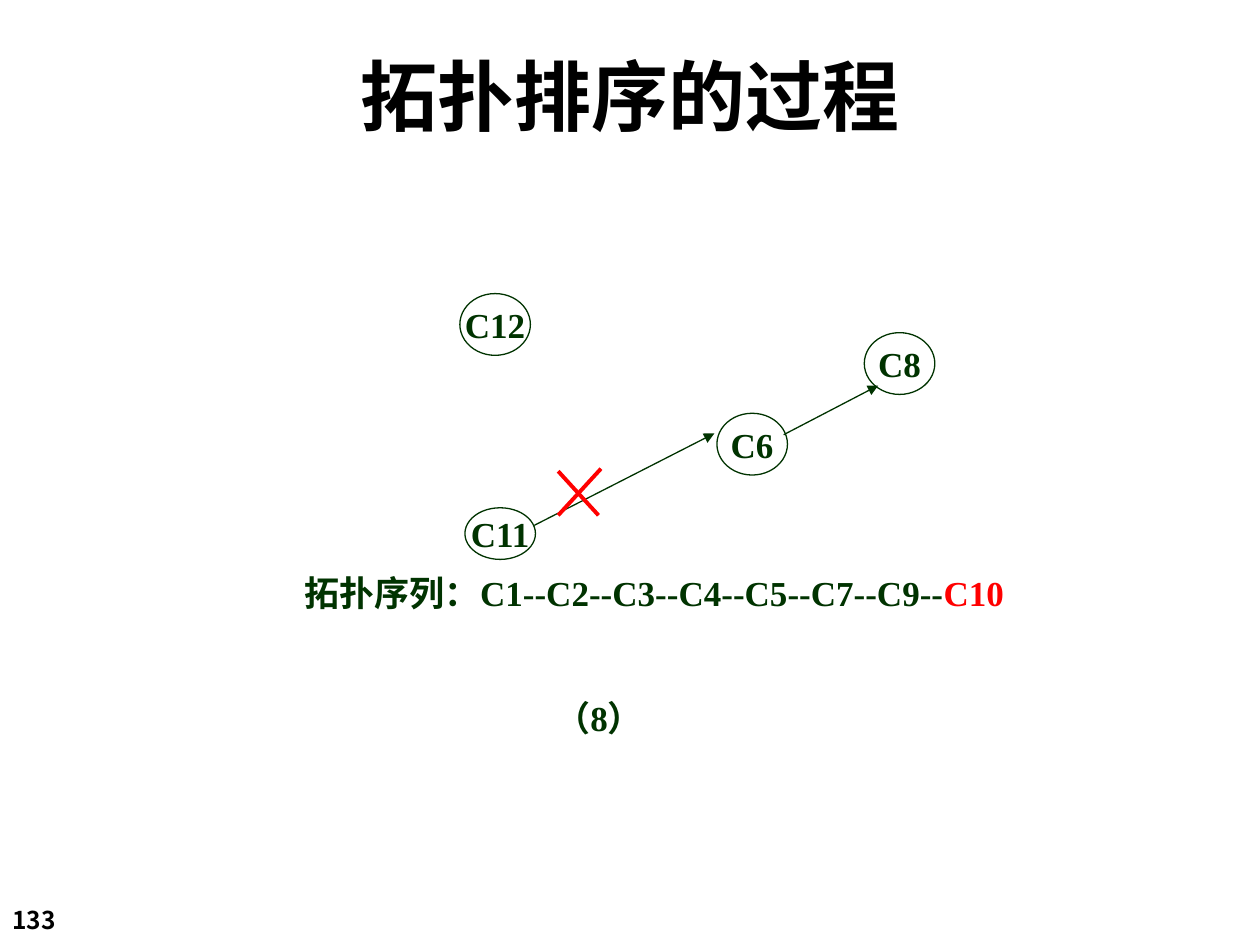
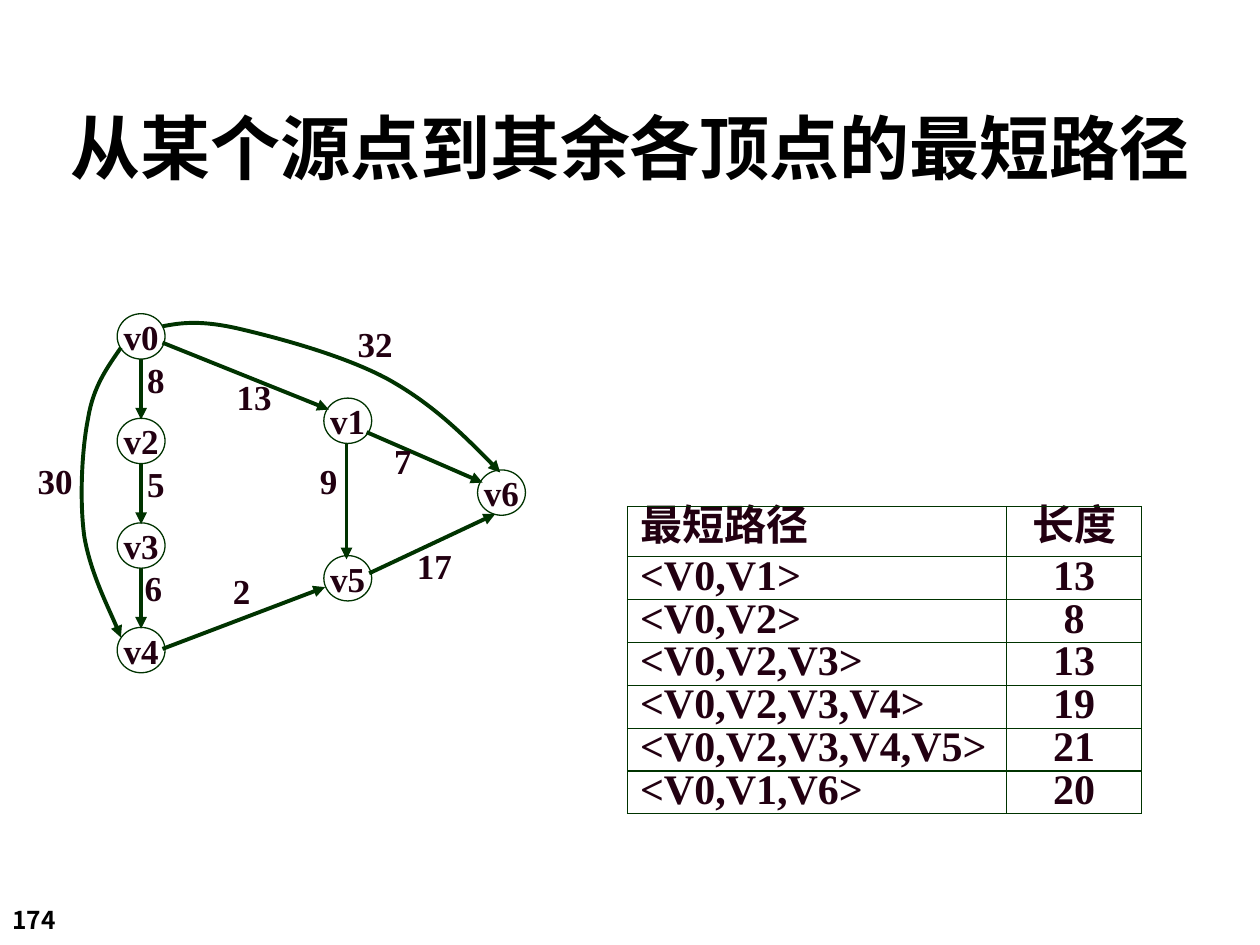
"""Build two graph algorithm slides: topological sorting and shortest paths."""
from dataclasses import dataclass

import lxml.etree
import pptx
import pptx.dml.color
import pptx.enum.shapes
import pptx.enum.text
import pptx.oxml.ns
import pptx.util

Inches = pptx.util.Inches
Pt = pptx.util.Pt
Align = pptx.enum.text.PP_ALIGN
Anchor = pptx.enum.text.MSO_ANCHOR
qn = pptx.oxml.ns.qn


@dataclass(frozen=True)
class Theme:
    heading_font: str = "Noto Sans CJK SC"
    body_font: str = "Times New Roman"
    black: str = "000000"
    green: str = "003300"
    plum: str = "220011"
    red: str = "FF0000"
    page_size: int = 14
    body_size: int = 20
    table_size: int = 24
    thin: float = 0.75
    thick: float = 2.25


class SlideBuilder:
    def __init__(self, presentation, theme):
        self.presentation = presentation
        self.theme = theme
        self.slide = None

    def start_slide(self, page_number):
        self.slide = self.presentation.slides.add_slide(self.presentation.slide_layouts[6])
        self.text((0, 7.13, 0.83, 0.34), str(page_number), self.theme.black,
                  size=self.theme.page_size, font=self.theme.heading_font)

    def format_run(self, run, color, size, font):
        run.font.name = font
        run.font.size = Pt(size)
        run.font.bold = True
        run.font.color.rgb = pptx.dml.color.RGBColor.from_string(color)
        latin = run._r.get_or_add_rPr().find(qn("a:latin"))
        east_asian = lxml.etree.Element(qn("a:ea"), typeface=self.theme.heading_font)
        latin.addnext(east_asian)

    def fill_frame(self, text_frame, text, color, size=None, font=None, align=Align.LEFT):
        text_frame.text = text
        paragraph = text_frame.paragraphs[0]
        paragraph.alignment = align
        self.format_run(paragraph.runs[0], color, size or self.theme.body_size,
                        font or self.theme.body_font)
        return paragraph

    def text(self, box, text, color, **style):
        shape = self.slide.shapes.add_textbox(*map(Inches, box))
        shape.text_frame.word_wrap = False
        self.fill_frame(shape.text_frame, text, color, **style)
        return shape.text_frame

    def title(self, box, text, size):
        text_frame = self.text(box, text, self.theme.black, size=size,
                               font=self.theme.heading_font, align=Align.CENTER)
        text_frame.word_wrap = True
        return text_frame

    def style_line(self, line, color, width):
        line.color.rgb = pptx.dml.color.RGBColor.from_string(color)
        line.width = Pt(width)

    def add_arrowhead(self, line):
        lxml.etree.SubElement(line._get_or_add_ln(), qn("a:tailEnd"), type="triangle")

    def node(self, box, label, color):
        shape = self.slide.shapes.add_shape(
            pptx.enum.shapes.MSO_SHAPE.OVAL, *map(Inches, box))
        shape.shadow.inherit = False
        shape.fill.background()
        self.style_line(shape.line, self.theme.green, self.theme.thin)
        shape.text_frame.word_wrap = False
        shape.text_frame.vertical_anchor = Anchor.MIDDLE
        self.fill_frame(shape.text_frame, label, color, align=Align.CENTER)

    def line(self, start, end, color, width, arrow=False):
        connector = self.slide.shapes.add_connector(
            pptx.enum.shapes.MSO_CONNECTOR.STRAIGHT, *map(Inches, (*start, *end)))
        self.style_line(connector.line, color, width)
        if arrow:
            self.add_arrowhead(connector.line)
        lxml.etree.SubElement(connector._element.spPr, qn("a:effectLst"))

    def edge(self, start, end, width):
        self.line(start, end, self.theme.green, width, arrow=True)

    def curved_edge(self, points):
        points = [(Inches(x), Inches(y)) for x, y in points]
        builder = self.slide.shapes.build_freeform(*points[0], scale=1.0)
        builder.add_line_segments(points[1:], close=False)
        shape = builder.convert_to_shape()
        segments = list(shape._element.iter(qn("a:lnTo")))
        for first in range(0, len(segments), 3):
            bezier = lxml.etree.Element(qn("a:cubicBezTo"))
            segments[first].addprevious(bezier)
            for segment in segments[first:first + 3]:
                bezier.append(segment[0])
                segment.getparent().remove(segment)
        shape.shadow.inherit = False
        shape.fill.background()
        self.style_line(shape.line, self.theme.green, self.theme.thick)
        self.add_arrowhead(shape.line)

    def border_cell(self, cell):
        properties = cell._tc.get_or_add_tcPr()
        for position, side in enumerate(("lnL", "lnR", "lnT", "lnB")):
            border = lxml.etree.Element(qn(f"a:{side}"), w=str(Pt(self.theme.thin)))
            fill = lxml.etree.SubElement(border, qn("a:solidFill"))
            lxml.etree.SubElement(fill, qn("a:srgbClr"), val=self.theme.green)
            properties.insert(position, border)

    def table(self, left, top, widths, heights, rows):
        table = self.slide.shapes.add_table(
            len(rows), len(widths), Inches(left), Inches(top),
            Inches(sum(widths)), Inches(sum(heights))).table
        table.first_row = table.horz_banding = False
        for column, width in zip(table.columns, widths):
            column.width = Inches(width)
        for row, height, texts in zip(table.rows, heights, rows):
            row.height = Inches(height)
            for cell, text, align in zip(row.cells, texts, (Align.LEFT, Align.CENTER)):
                cell.margin_top = cell.margin_bottom = 0
                cell.vertical_anchor = Anchor.MIDDLE
                cell.fill.background()
                self.border_cell(cell)
                paragraph = self.fill_frame(cell.text_frame, text, self.theme.plum,
                                            size=self.theme.table_size, align=align)
                paragraph.line_spacing = Pt(self.theme.table_size)


def build_topological_sort(builder):
    theme = builder.theme
    builder.start_slide(133)
    for label, left, top, height in (("C6", 5.69, 3.28, 0.49), ("C8", 6.86, 2.64, 0.49),
                                     ("C11", 3.69, 4.03, 0.41), ("C12", 3.65, 2.33, 0.49)):
        builder.node((left, top, 0.56, height), label, theme.green)
    builder.edge((4.24, 4.17), (5.67, 3.44), theme.thin)
    builder.edge((6.22, 3.45), (6.97, 3.06), theme.thin)

    sequence = builder.text((2.32, 4.49, 5.83, 0.44),
                            "拓扑序列：C1--C2--C3--C4--C5--C7--C9--", theme.green)
    sequence.word_wrap = True
    newest = sequence.paragraphs[0].add_run()
    newest.text = "C10"
    builder.format_run(newest, theme.red, theme.body_size, theme.body_font)

    builder.text((4.31, 5.48, 1.03, 0.44), "（8）", theme.green)
    builder.line((4.43, 3.74), (4.75, 4.09), theme.red, theme.thick)
    builder.line((4.77, 3.72), (4.43, 4.09), theme.red, theme.thick)
    title = builder.title((0.42, 0.42, 9.17, 1), "拓扑排序的过程", 44)
    title.paragraphs[0].line_spacing = 0.9


def build_shortest_paths(builder):
    theme = builder.theme
    builder.start_slide(174)
    column_left, column_top, column_step = 0.93, 2.49, 0.83
    vertices = {"v5": (2.57, 4.41), "v1": (2.57, 3.16), "v6": (3.79, 3.73)}
    for index, label in enumerate(("v0", "v2", "v3", "v4")):
        vertices[label] = (column_left, column_top + index * column_step)
    for label, corner in vertices.items():
        builder.node((*corner, 0.38, 0.36), label, theme.plum)

    for index in range(3):
        start = column_top + 0.36 + index * column_step
        builder.edge((1.12, start), (1.12, start + 0.48), theme.thick)
    for start, end in (((1.29, 2.72), (2.61, 3.25)), ((2.91, 3.43), (3.83, 3.83)),
                       ((1.29, 5.15), (2.58, 4.66)), ((2.93, 4.55), (3.93, 4.08)),
                       ((2.75, 3.52), (2.75, 4.44))):
        builder.edge(start, end, theme.thick)
    builder.curved_edge([(0.96, 2.76), (0.85, 2.92), (0.74, 3.07), (0.7, 3.32),
                         (0.65, 3.57), (0.63, 3.97), (0.67, 4.26),
                         (0.72, 4.55), (0.91, 4.92), (0.96, 5.06)])
    builder.curved_edge([(1.29, 2.59), (1.44, 2.56), (1.6, 2.54), (1.9, 2.61),
                         (2.2, 2.68), (2.73, 2.82), (3.08, 3.01),
                         (3.42, 3.2), (3.7, 3.47), (3.97, 3.75)])

    for weight, left, top in (("8", 1.07, 2.8), ("5", 1.07, 3.62), ("6", 1.05, 4.45),
                              ("2", 1.75, 4.47), ("30", 0.2, 3.6), ("13", 1.78, 2.93),
                              ("7", 3.03, 3.44), ("17", 3.21, 4.27), ("32", 2.74, 2.51),
                              ("9", 2.44, 3.6)):
        builder.text((left, top, 0.2 + 0.14 * len(weight), 0.44), weight, theme.plum)

    paths = [("最短路径", "长度"), ("<V0,V1>", "13"), ("<V0,V2>", "8"),
             ("<V0,V2,V3>", "13"), ("<V0,V2,V3,V4>", "19"),
             ("<V0,V2,V3,V4,V5>", "21"), ("<V0,V1,V6>", "20")]
    builder.table(4.98, 4.02, (3.01, 1.07), [0.4] + [0.34] * 6, paths)

    title = builder.title((0, 0.5, 10, 1), "从某个源点到其余各顶点的最短路径", 40)
    title.vertical_anchor = Anchor.BOTTOM
    title.margin_bottom = 0


def main():
    presentation = pptx.Presentation()
    presentation.slide_width = Inches(10)
    presentation.slide_height = Inches(7.5)
    builder = SlideBuilder(presentation, Theme())
    build_topological_sort(builder)
    build_shortest_paths(builder)
    presentation.save("out.pptx")


if __name__ == "__main__":
    main()
